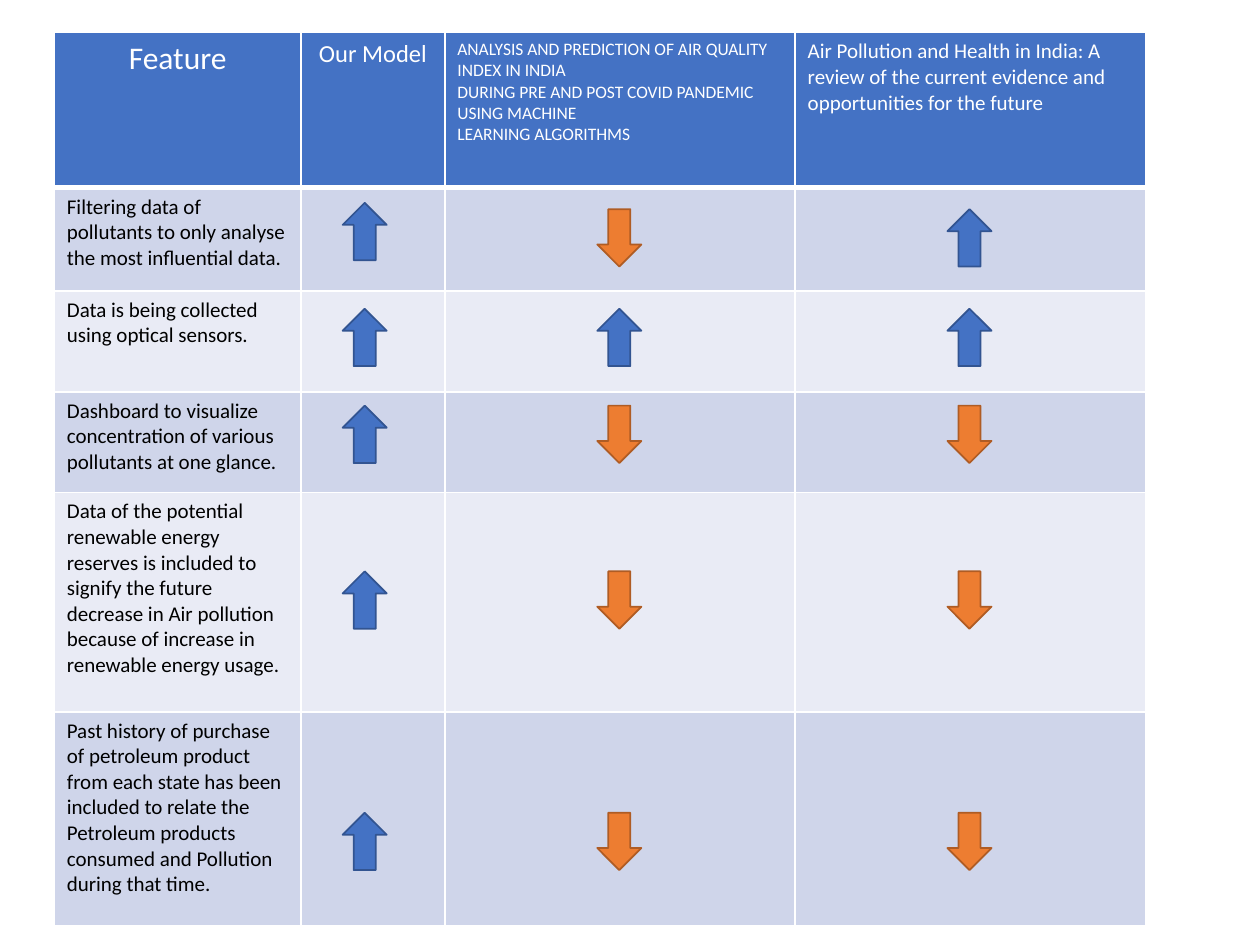
import pptx
import pptx.util
import pptx.dml.color
import pptx.enum.shapes
import pptx.enum.text
import pptx.oxml
import pptx.oxml.ns

Pt = pptx.util.Pt
Kind = pptx.enum.shapes.MSO_SHAPE
Align = pptx.enum.text.PP_ALIGN

hues = {
    "head": "4472C4", "dark": "CFD5EA", "light": "E9EBF5",
    "white": "FFFFFF", "black": "000000",
    "up": "4472C4", "upline": "325491",
    "down": "ED7D31", "downline": "AF5C24",
}


def paint(fill, name):
    fill.solid()
    fill.fore_color.rgb = pptx.dml.color.RGBColor.from_string(hues[name])


def edge(cell, side, width):
    line = pptx.oxml.parse_xml(
        f'<a:{side} {pptx.oxml.ns.nsdecls("a")} w="{Pt(width)}">'
        f'<a:solidFill><a:srgbClr val="{hues["white"]}"/></a:solidFill></a:{side}>')
    cell._tc.get_or_add_tcPr().append(line)


heads = [
    ("Feature", 18, Align.CENTER),
    ("Our Model", 14, Align.CENTER),
    ("ANALYSIS AND PREDICTION OF AIR QUALITY INDEX IN INDIA\n"
     "DURING PRE AND POST COVID PANDEMIC USING MACHINE\n"
     "LEARNING ALGORITHMS", 10, Align.LEFT),
    ("Air Pollution and Health in India: A review of the current evidence and "
     "opportunities for the future", 12, Align.LEFT),
]
items = [
    "Filtering data of pollutants to only analyse the most influential data.",
    "Data is being collected using optical sensors.",
    "Dashboard to visualize concentration of various pollutants at one glance.",
    "Data of the potential renewable energy reserves is included to signify the future "
    "decrease in Air pollution because of increase in renewable energy usage.",
    "Past history of purchase of petroleum product from each state has been included to "
    "relate the Petroleum products consumed and Pollution during that time.",
]
wide = [141.1, 82.1, 200.2, 200.2]
high = [88.6, 59, 57.6, 57.6, 125.3, 122.4]

deck = pptx.Presentation()
deck.slide_width, deck.slide_height = Pt(720), Pt(540)
slide = deck.slides.add_slide(deck.slide_layouts[6])

grid = slide.shapes.add_table(
    len(high), len(wide), Pt(31), Pt(18.7), Pt(sum(wide)), Pt(sum(high))).table
for col, size in zip(grid.columns, wide):
    col.width = Pt(size)
for row, size in zip(grid.rows, high):
    row.height = Pt(size)

cells = [heads] + [[(item, 12, Align.LEFT)] + [("", 12, Align.LEFT)] * 3 for item in items]
for r, row in enumerate(cells):
    for c, (text, size, align) in enumerate(row):
        cell = grid.cell(r, c)
        edge(cell, "lnL", 1)
        edge(cell, "lnR", 1)
        edge(cell, "lnT", 3 if r == 1 else 1)
        edge(cell, "lnB", 3 if r == 0 else 1)
        paint(cell.fill, "head" if r == 0 else "dark" if r % 2 else "light")
        cell.text_frame.text = text
        for para in cell.text_frame.paragraphs:
            para.alignment = align
            for run in para.runs:
                run.font.name = "Calibri"
                run.font.size = Pt(size)
                run.font.bold = False
                paint(run.font.fill, "black" if r else "white")

kinds = {"up": Kind.UP_ARROW, "down": Kind.DOWN_ARROW}
tops = [119.5, 176.4, 231.8, 326.5, 464.4]
marks = [
    (195.8, 115.9, ["up"] * 5),
    (341.3, 119.5, ["down", "up", "down", "down", "down"]),
    (541.4, 119.5, ["up", "up", "down", "down", "down"]),
]
for left, first, ways in marks:
    for top, way in zip([first] + tops[1:], ways):
        arrow = slide.shapes.add_shape(kinds[way], Pt(left), Pt(top), Pt(25.2), Pt(32.8))
        arrow.shadow.inherit = False
        paint(arrow.fill, way)
        paint(arrow.line.fill, way + "line")
        arrow.line.width = Pt(1)

deck.save("out.pptx")
